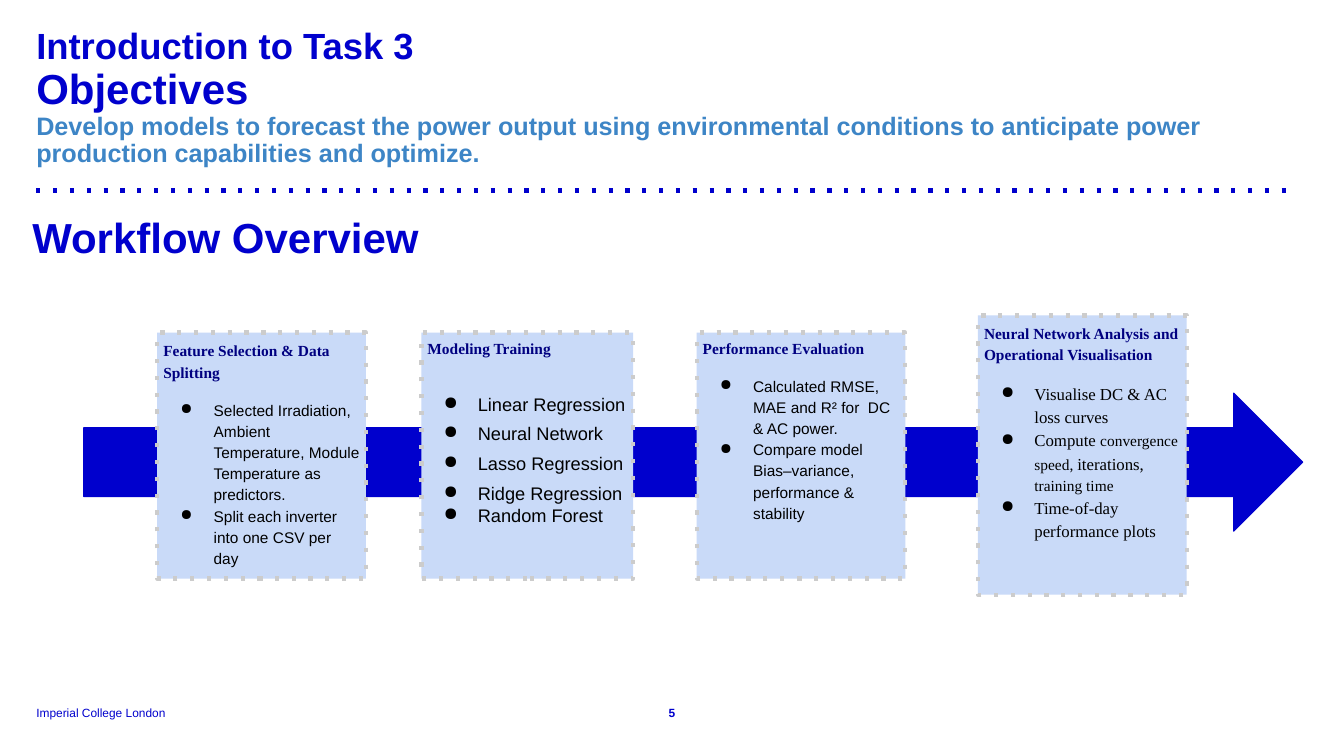
from lxml import etree
from pptx import Presentation
from pptx.dml.color import RGBColor
from pptx.enum.dml import MSO_LINE
from pptx.enum.shapes import MSO_CONNECTOR, MSO_SHAPE
from pptx.enum.text import MSO_ANCHOR, MSO_AUTO_SIZE, PP_ALIGN
from pptx.oxml.ns import qn
from pptx.util import Pt

PX = 9144  # EMU per px, 100 px to the inch
BLUE = RGBColor(0x00, 0x00, 0xCD)
SKY = RGBColor(0x3D, 0x85, 0xC6)
NAVY = RGBColor(0x00, 0x00, 0x80)
PALE = RGBColor(0xC9, 0xDA, 0xF8)
GREY = RGBColor(0xCC, 0xCC, 0xCC)
BLACK = RGBColor(0x00, 0x00, 0x00)
SANS, SERIF = "Arial", "Times New Roman"
LEFT, CENTER = PP_ALIGN.LEFT, PP_ALIGN.CENTER
TOP, BOTTOM = MSO_ANCHOR.TOP, MSO_ANCHOR.BOTTOM
DOTS = MSO_LINE.ROUND_DOT


def set_frame(frame, anchor, pad=0):
    vals = {"word_wrap": True, "auto_size": MSO_AUTO_SIZE.NONE,
            "vertical_anchor": anchor}
    for side in ("left", "top", "right", "bottom"):
        vals["margin_" + side] = pad * PX
    for name, val in vals.items():
        setattr(frame, name, val)
    return frame


def add_par(frame, runs, font, color, bold=True, hang=0, **form):
    par = frame.paragraphs[0]
    if par.runs:
        par = frame.add_paragraph()
    props = par._p.get_or_add_pPr()
    props.set("marL", str(50 * PX if hang else 0))
    props.set("indent", str(-hang * PX))
    if hang:
        tint = etree.SubElement(props, qn("a:buClr"))
        etree.SubElement(tint, qn("a:srgbClr")).set("val", str(color))
        etree.SubElement(props, qn("a:buChar")).set("char", "●")
    else:
        etree.SubElement(props, qn("a:buNone"))
    base = {"alignment": LEFT, "space_before": Pt(0), "line_spacing": 1.0}
    for name, val in (base | form).items():
        setattr(par, name, val)
    for text, size in runs:
        run = par.add_run()
        run.text = text
        for name, val in {"name": font, "size": Pt(size), "bold": bold}.items():
            setattr(run.font, name, val)
        run.font.color.rgb = color


deck = Presentation()
deck.slide_width, deck.slide_height = 1333 * PX, 750 * PX
slide = deck.slides.add_slide(deck.slide_layouts[3])
shapes = slide.shapes

# Title, objectives and section heading
heads = [
    (36, 28, 1262, 41, 0.9, [("Introduction to Task 3", 26, BLUE)]),
    (36, 68, 1262, 116, 0.9, [
        ("Objectives", 30, BLUE),
        ("Develop models to forecast the power output using environmental "
         "conditions to anticipate power production capabilities and optimize.",
         18, SKY)]),
    (32, 207, 1269, 57, 1.05, [("Workflow Overview", 30, BLUE)]),
]
for holder, (x, y, w, h, gap, lines) in zip(slide.placeholders, heads):
    holder.left, holder.top, holder.width, holder.height = (
        n * PX for n in (x, y, w, h))
    frame = set_frame(holder.text_frame, TOP)
    for text, size, color in lines:
        add_par(frame, [(text, size)], SANS, color, line_spacing=gap)

# Dotted rule
rule = shapes.add_connector(MSO_CONNECTOR.STRAIGHT,
                            36 * PX, 189 * PX, 1286 * PX, 189 * PX)
rule.line.color.rgb = BLUE
rule.line.width = Pt(3)
rule.line.dash_style = DOTS
etree.SubElement(rule._element.spPr, qn("a:effectLst"))

# Workflow arrow
arrow = shapes.add_shape(MSO_SHAPE.RIGHT_ARROW,
                         83 * PX, 390 * PX, 1209 * PX, 137 * PX)
arrow.shadow.inherit = False
arrow.fill.solid()
arrow.fill.fore_color.rgb = BLUE
arrow.line.color.rgb = BLUE
arrow.line.width = Pt(0.75)

# Step cards: box, heading, heading spacing, font, hang, gap, bullets
models = ["Linear Regression", "Neural Network", "Lasso Regression",
          "Ridge Regression"]
cards = [
    ((156, 330, 207, 244), "Feature Selection & Data Splitting", 1.15,
     SANS, 33, 12, [
         (1.15, [("Selected Irradiation, Ambient Temperature, Module "
                  "Temperature as predictors.", 11)]),
         (1.15, [("Split each inverter into one CSV per day", 11)])]),
    ((418, 330, 210, 244), "Modeling Training", 1.0,
     SANS, 34, 20,
     [(1.36, [(name, 13)]) for name in models]
     + [(1.0, [("Random Forest", 13)])]),
    ((691, 330, 207, 244), "Performance Evaluation", 1.0,
     SANS, 33, 12, [
         (1.15, [("Calculated RMSE, MAE and R² for  DC & AC power.", 11)]),
         (1.15, [("Compare model Bias–variance, performance & stability",
                  11)])]),
    ((970, 313, 207, 277),
     "Neural Network Analysis and Operational Visualisation", 1.15,
     SERIF, 33, 12, [
         (1.15, [("Visualise DC & AC loss curves", 12)]),
         (1.15, [("Compute ", 12), ("convergence speed, ", 11),
                 ("iterations, ", 12), ("training time", 11)]),
         (1.15, [("Time‑of‑day performance plots", 12)])]),
]
for spot, head, lead, font, hang, gap, items in cards:
    card = shapes.add_shape(MSO_SHAPE.RECTANGLE, *(n * PX for n in spot))
    card.shadow.inherit = False
    card.fill.solid()
    card.fill.fore_color.rgb = PALE
    card.line.color.rgb = GREY
    card.line.width = Pt(3)
    card.line.dash_style = DOTS
    frame = set_frame(card.text_frame, TOP, 6)
    add_par(frame, [(head, 11)], SERIF, NAVY, line_spacing=lead)
    for i, (space, runs) in enumerate(items):
        add_par(frame, runs, font, BLACK, False, hang, line_spacing=space,
                space_before=Pt(0 if i else gap))

# Wide dots on every dotted line
for dash in slide._element.iter(qn("a:prstDash")):
    dash.set("val", "dot")

# Footer and page number
for x, w, text, bold, side in [(36, 155, "Imperial College London", False, LEFT),
                               (649, 35, "5", True, CENTER)]:
    note = shapes.add_textbox(x * PX, 699 * PX, w * PX, 15 * PX)
    frame = set_frame(note.text_frame, BOTTOM)
    add_par(frame, [(text, 8.5)], SANS, BLUE, bold, alignment=side)

deck.save("out.pptx")
